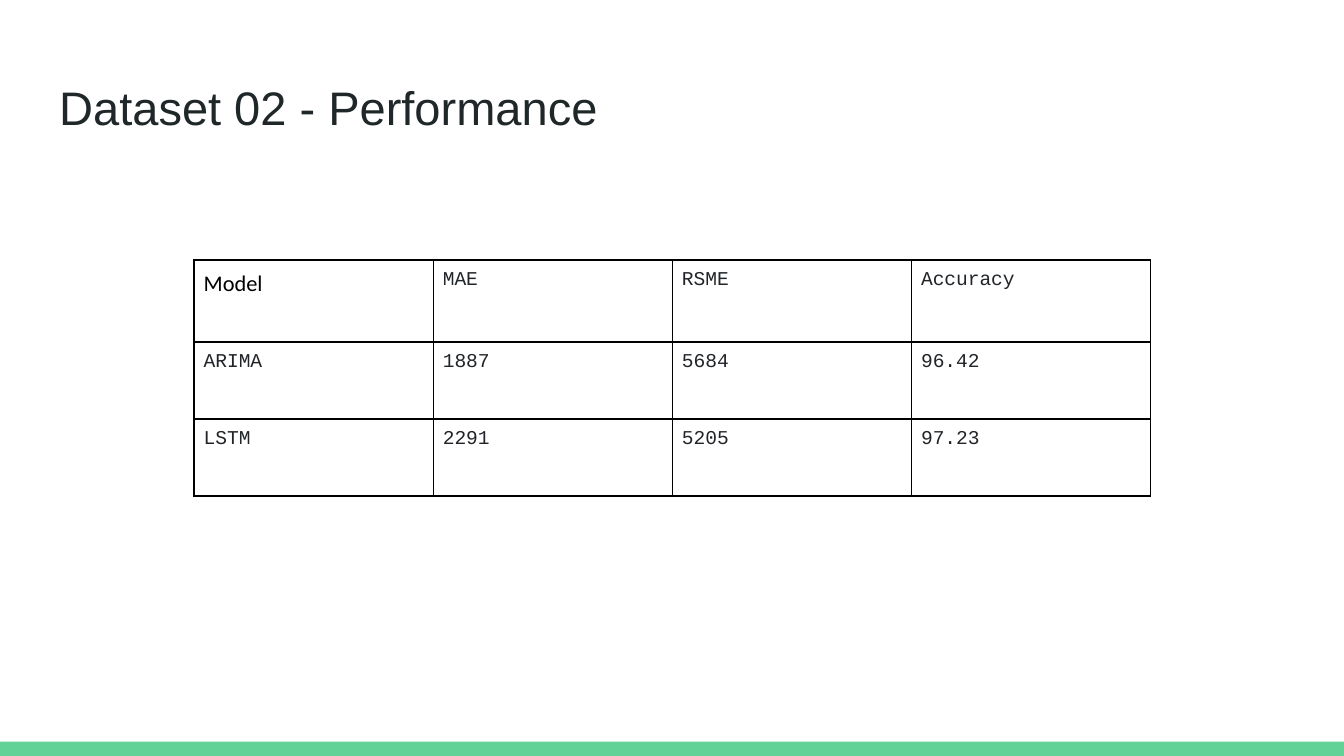
from lxml import etree
from pptx import Presentation
from pptx.dml.color import RGBColor
from pptx.enum.shapes import MSO_SHAPE
from pptx.enum.text import PP_ALIGN
from pptx.oxml.ns import qn
from pptx.util import Cm, Pt

RECTANGLE = MSO_SHAPE.RECTANGLE
LEFT = PP_ALIGN.LEFT
JUSTIFY = PP_ALIGN.JUSTIFY

GREEN = RGBColor(0x63, 0xD2, 0x97)
TITLE_INK = RGBColor(0x20, 0x27, 0x29)
TABLE_INK = RGBColor(0x21, 0x25, 0x29)
BLACK = RGBColor(0x00, 0x00, 0x00)

TITLE_FONT = {"name": "Arial", "size": Pt(25.2)}
CORNER_FONT = {"name": "Calibri", "size": Pt(12)}
CELL_FONT = {"name": "Courier New", "size": Pt(10.5)}

SIDES = ("left", "top", "right", "bottom")
BORDER_TAGS = ("a:lnL", "a:lnR", "a:lnT", "a:lnB")

PERFORMANCE = [
    ["Model", "MAE", "RSME", "Accuracy"],
    ["ARIMA", "1887", "5684", "96.42"],
    ["LSTM", "2291", "5205", "97.23"],
]
COLUMN_WIDTH = 4.52
ROW_HEIGHTS = [1.55, 1.45, 1.45]


class SlideBuilder:
    def __init__(self, slide):
        self.slide = slide
        self.border_width = Pt(1)
        self.border_color = BLACK
        self.title_margin = Cm(0.25)
        self.cell_margin = Cm(0.18)

    def add_text(self, text_frame, text, font, color, alignment):
        paragraph = text_frame.paragraphs[0]
        paragraph.alignment = alignment
        run = paragraph.add_run()
        run.text = text
        for name, value in font.items():
            setattr(run.font, name, value)
        run.font.color.rgb = color

    def set_margins(self, target, margin):
        for side in SIDES:
            setattr(target, f"margin_{side}", margin)

    def add_bar(self, left, top, width, height, color):
        bar = self.slide.shapes.add_shape(
            RECTANGLE, Cm(left), Cm(top), Cm(width), Cm(height))
        bar.shadow.inherit = False
        bar.fill.solid()
        bar.fill.fore_color.rgb = color
        bar.line.fill.background()

    def add_title(self, text, left, top, width, height):
        box = self.slide.shapes.add_textbox(
            Cm(left), Cm(top), Cm(width), Cm(height))
        text_frame = box.text_frame
        text_frame.word_wrap = True
        self.set_margins(text_frame, self.title_margin)
        self.add_text(text_frame, text, TITLE_FONT, TITLE_INK, LEFT)

    def add_borders(self, cell):
        properties = cell._tc.get_or_add_tcPr()
        for tag in BORDER_TAGS:
            line = etree.SubElement(
                properties, qn(tag), w=str(self.border_width))
            fill = etree.SubElement(line, qn("a:solidFill"))
            etree.SubElement(
                fill, qn("a:srgbClr"), val=str(self.border_color))

    def add_table(self, rows, left, top, column_width, row_heights):
        column_count = len(rows[0])
        frame = self.slide.shapes.add_table(
            len(rows), column_count, Cm(left), Cm(top),
            Cm(column_width * column_count), Cm(sum(row_heights)))
        table = frame.table
        table.first_row = False
        table.horz_banding = False
        for column in table.columns:
            column.width = Cm(column_width)
        for row, height in zip(table.rows, row_heights):
            row.height = Cm(height)
        for row_index, values in enumerate(rows):
            for column_index, value in enumerate(values):
                cell = table.cell(row_index, column_index)
                is_corner = row_index == column_index == 0
                font = CORNER_FONT if is_corner else CELL_FONT
                color = BLACK if is_corner else TABLE_INK
                self.set_margins(cell, self.cell_margin)
                self.add_borders(cell)
                cell.fill.background()
                self.add_text(cell.text_frame, value, font, color, JUSTIFY)


def main():
    presentation = Presentation()
    presentation.slide_width = Cm(25.4)
    presentation.slide_height = Cm(14.29)
    blank_layout = presentation.slide_layouts[6]
    builder = SlideBuilder(presentation.slides.add_slide(blank_layout))
    builder.add_bar(0, 14.02, 25.4, 0.27, GREEN)
    builder.add_title("Dataset 02 - Performance", 0.87, 1.24, 23.67, 1.6)
    builder.add_table(PERFORMANCE, 3.67, 4.92, COLUMN_WIDTH, ROW_HEIGHTS)
    presentation.save("out.pptx")


if __name__ == "__main__":
    main()
